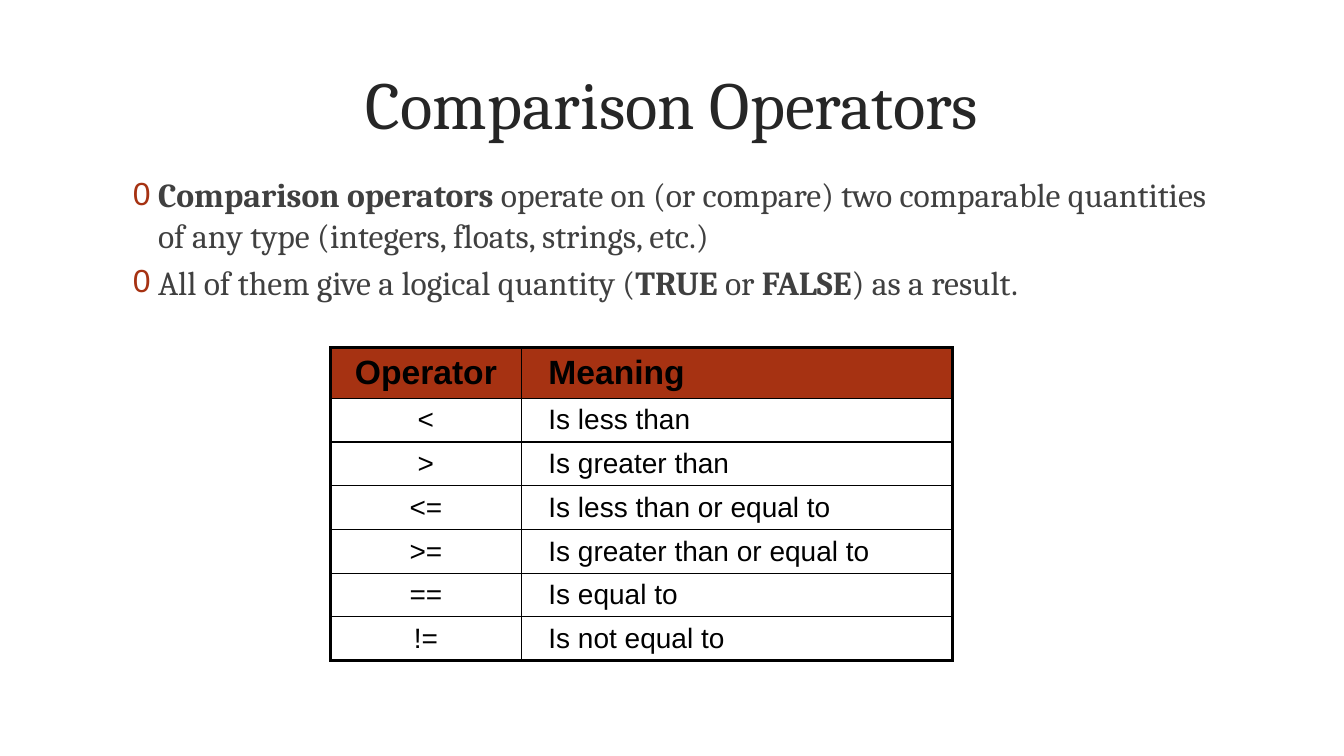
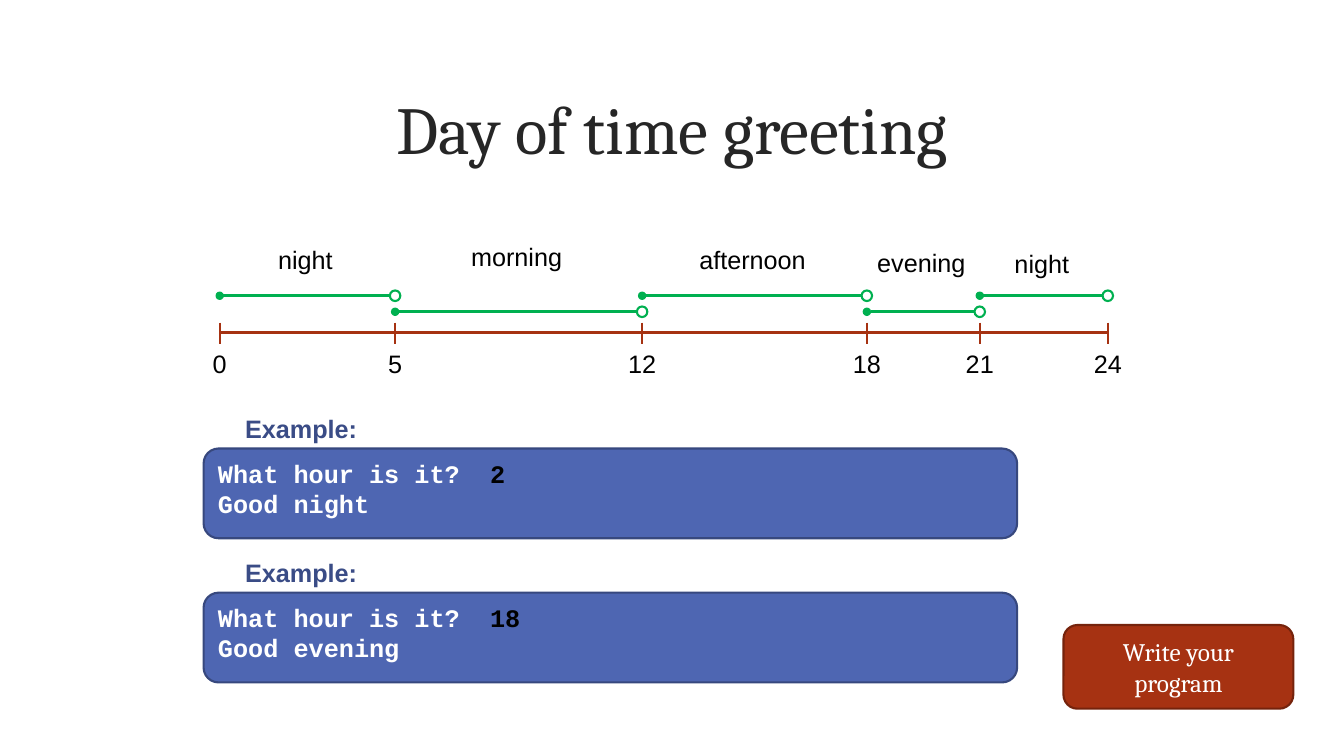
from pptx import Presentation
from pptx.dml.color import RGBColor
from pptx.enum.shapes import MSO_CONNECTOR, MSO_SHAPE
from pptx.enum.text import MSO_ANCHOR, PP_ALIGN
from pptx.oxml import parse_xml
from pptx.oxml.ns import nsdecls
from pptx.util import Inches, Pt

COLORS = {"title": "262626", "body": "404040", "rust": "A63212",
          "rust_edge": "75230C", "green": "00B050", "blue": "4E66B2",
          "blue_edge": "37487E", "example": "3A4C86",
          "black": "000000", "white": "FFFFFF"}
RGB = {name: RGBColor.from_string(value) for name, value in COLORS.items()}
A = nsdecls("a")
LEFT, CENTER = PP_ALIGN.LEFT, PP_ALIGN.CENTER
TOP, MIDDLE = MSO_ANCHOR.TOP, MSO_ANCHOR.MIDDLE

deck = Presentation()
deck.slide_width, deck.slide_height = Inches(13.33), Inches(7.5)
# Places are given in hundredths of the slide's width and height.
COL, ROW = deck.slide_width / 100, deck.slide_height / 100


def add_box(slide, place, paragraphs=(), size=18, font="Arial", color="black",
            align=CENTER, anchor=TOP, kind=None, fill=None, line=None):
    """Add a text box, or a shape of the given kind, with (text, bold, color) runs."""
    left, top, width, height = place
    area = [int(n) for n in (left * COL, top * ROW, width * COL, height * ROW)]
    if kind is None:
        box = slide.shapes.add_textbox(*area)
    else:
        box = slide.shapes.add_shape(kind, *area)
        box.shadow.inherit = False
        box.line.color.rgb, box.line.width = RGB[line], Pt(1.5)
        if fill:
            box.fill.solid()
            box.fill.fore_color.rgb = RGB[fill]
        else:
            box.fill.background()
    frame = box.text_frame
    frame.word_wrap, frame.vertical_anchor = True, anchor
    for index, runs in enumerate(paragraphs):
        paragraph = frame.paragraphs[0] if index == 0 else frame.add_paragraph()
        paragraph.alignment = align
        for text, bold, run_color in runs:
            run = paragraph.add_run()
            run.text = text
            run.font.name, run.font.size, run.font.bold = font, Pt(size), bold
            run.font.color.rgb = RGB[run_color or color]
    return box


def add_line(slide, x1, y1, x2, y2, color, width, dot=False):
    """Add a straight line, with a round dot at its start if asked."""
    line = slide.shapes.add_connector(
        MSO_CONNECTOR.STRAIGHT, int(x1 * COL), int(y1 * ROW), int(x2 * COL), int(y2 * ROW))
    line.line.color.rgb, line.line.width = RGB[color], Pt(width)
    if dot:
        line.line._get_or_add_ln().append(parse_xml(f'<a:headEnd {A} type="oval"/>'))
    line._element.spPr.append(parse_xml(f"<a:effectLst {A}/>"))


# Titles
slides = []
for title, title_top in (("Comparison Operators", 3.07), ("Day of time greeting", 6.4)):
    slide = deck.slides.add_slide(deck.slide_layouts[6])
    add_box(slide, (6, title_top, 88, 21.07), [[(title, False, None)]],
            48, "Cambria", "title", anchor=MIDDLE)
    slides.append(slide)
operators_slide, greeting_slide = slides

# Comparison operators: table
operators = [("Operator", "Meaning"), ("<", "Is less than"), (">", "Is greater than"),
             ("<=", "Is less than or equal to"), (">=", "Is greater than or equal to"),
             ("==", "Is equal to"), ("!=", "Is not equal to")]
widths, header_height, row_height = (14.18, 32.1), 6.27, 5.47
last_row = len(operators) - 1
table = operators_slide.shapes.add_table(
    len(operators), 2, int(24.6 * COL), int(46 * ROW), int(sum(widths) * COL),
    int((header_height + last_row * row_height) * ROW)).table
for column, width in zip(table.columns, widths):
    column.width = int(width * COL)
for r, texts in enumerate(operators):
    header = r == 0
    table.rows[r].height = int((header_height if header else row_height) * ROW)
    for c, text in enumerate(texts):
        cell = table.cell(r, c)
        cell.vertical_anchor = MIDDLE
        cell.margin_left = cell.margin_right = Inches(0.27 if c else 0 if header else 0.13)
        paragraph = cell.text_frame.paragraphs[0]
        paragraph.alignment = LEFT if c else CENTER
        run = paragraph.add_run()
        run.text = text
        run.font.name, run.font.size = "Arial", Pt(24 if header else 20)
        run.font.bold, run.font.color.rgb = header, RGB["black"]
        outer = {"lnL": c == 0, "lnR": c == 1, "lnT": header, "lnB": r == last_row}
        properties = cell._tc.get_or_add_tcPr()
        for side, thick in outer.items():
            properties.append(parse_xml(
                f'<a:{side} {A} w="{Pt(2.25 if thick else 1)}"><a:solidFill>'
                f'<a:srgbClr val="{COLORS["black"]}"/></a:solidFill></a:{side}>'))
        cell.fill.solid()
        cell.fill.fore_color.rgb = RGB["rust" if header else "white"]

# Comparison operators: bullets
bullets = [
    [("Comparison operators", True, None),
     (" operate on (or compare) two comparable quantities of any type "
      "(integers, floats, strings, etc.)", False, None)],
    [("All of them give a logical quantity (", False, None), ("TRUE", True, None),
     (" or ", False, None), ("FALSE", True, None), (") as a result.", False, None)]]
body = add_box(operators_slide, (9.15, 22.4, 81.68, 22.67), bullets,
               24, "Cambria", "body", LEFT)
for paragraph in body.text_frame.paragraphs:
    paragraph.space_before = Pt(4.8)
    properties = paragraph._p.get_or_add_pPr()
    properties.set("marL", str(Inches(0.25)))
    properties.set("indent", str(-Inches(0.25)))
    for mark in (f'<a:buClr {A}><a:srgbClr val="{COLORS["rust"]}"/></a:buClr>',
                 f'<a:buSzPct {A} val="95000"/>', f'<a:buFont {A} typeface="Arial"/>',
                 f'<a:buChar {A} char="0"/>'):
        properties.append(parse_xml(mark))

# Greeting: time axis
hour_x = {0: 16.35, 5: 29.4, 12: 47.78, 18: 64.5, 21: 72.9, 24: 82.43}
tick_top, tick_bottom, number_width, text_height = 42.67, 45.47, 4.36, 5.33
add_line(greeting_slide, hour_x[0], 44, hour_x[24], 44, "rust", 2.5)
for hour, x in hour_x.items():
    add_line(greeting_slide, x, tick_top, x, tick_bottom, "rust", 1.5)
    add_box(greeting_slide, (x - number_width / 2, tick_bottom, number_width, text_height),
            [[(str(hour), False, None)]])

# Greeting: parts of the day, closed at the start and open at the end
high, low = 39.12, 41.24
ring_width, ring_height, label_width = 0.78, 1.4, 12
day_parts = [("night", 0, 5, high, 31.6), ("morning", 5, 12, low, 31.2),
             ("afternoon", 12, 18, high, 31.6), ("evening", 18, 21, low, 32),
             ("night", 21, 24, high, 32.13)]
for name, start, end, y, label_top in day_parts:
    x1, x2 = hour_x[start], hour_x[end]
    add_line(greeting_slide, x1, y, x2 - ring_width / 2, y, "green", 2, dot=True)
    add_box(greeting_slide, (x2 - ring_width / 2, y - ring_height / 2, ring_width, ring_height),
            kind=MSO_SHAPE.OVAL, line="green")
    add_box(greeting_slide, ((x1 + x2 - label_width) / 2 - 0.15, label_top,
                             label_width, text_height),
            [[(name, False, None)]], anchor=MIDDLE)

# Greeting: example dialogues
for top, hour, part in ((59.33, "2", "night"), (78.4, "18", "evening")):
    console = add_box(
        greeting_slide, (15.15, top, 60.53, 11.87),
        [[("What hour is it?\t", True, None), (hour, True, "black")],
         [(f"Good {part}", True, None)]],
        18, "Courier New", "white", LEFT, kind=MSO_SHAPE.ROUNDED_RECTANGLE,
        fill="blue", line="blue_edge")
    console.text_frame.paragraphs[0]._p.get_or_add_pPr().append(parse_xml(
        f'<a:tabLst {A}><a:tab pos="{Inches(2.7)}" algn="l"/></a:tabLst>'))
    add_box(greeting_slide, (17.5, top - text_height, 11.25, text_height),
            [[("Example:", True, None)]], color="example", align=LEFT)

# Greeting: task
add_box(greeting_slide, (79.13, 82.67, 17.1, 11.07), [[("Write your program", False, None)]],
        18, "Cambria", "white", anchor=MIDDLE, kind=MSO_SHAPE.ROUNDED_RECTANGLE,
        fill="rust", line="rust_edge")

deck.save("out.pptx")
